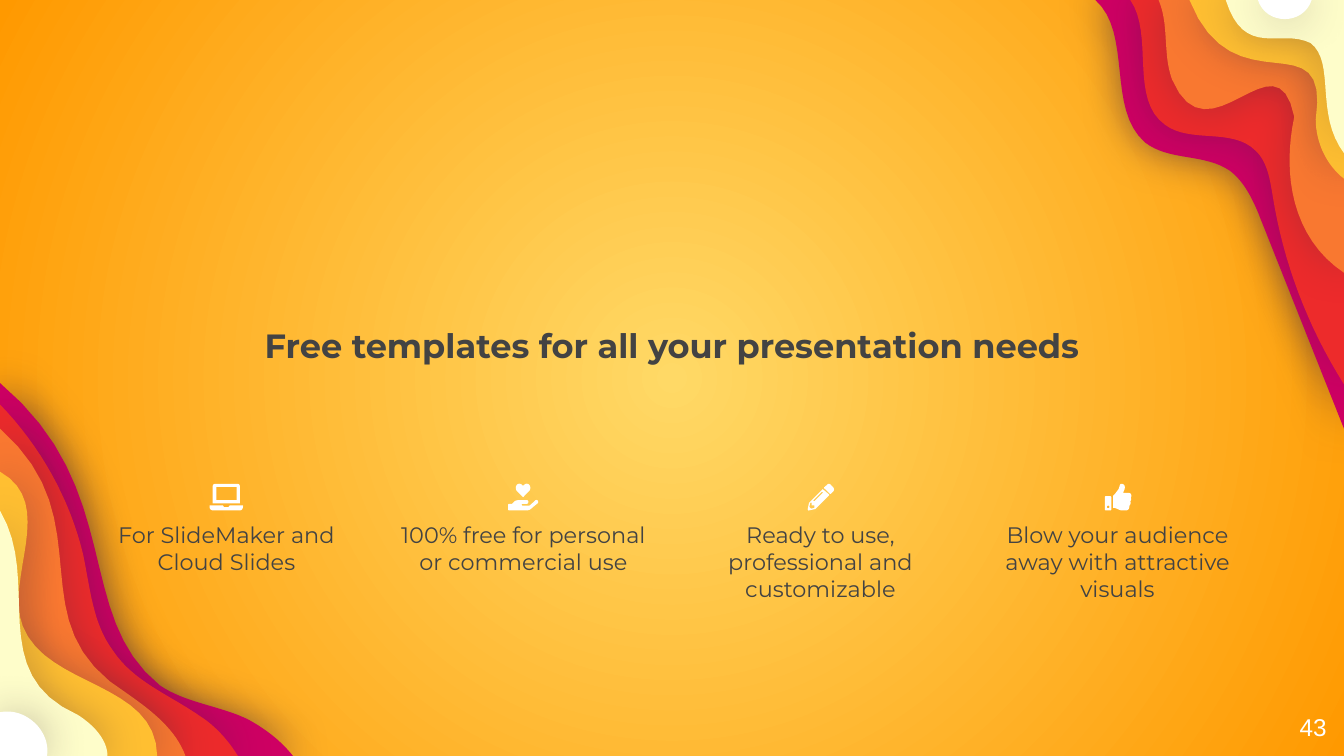
from pptx import Presentation
from pptx.dml.color import RGBColor
from pptx.enum.text import MSO_ANCHOR, PP_ALIGN
from pptx.oxml import parse_xml
from pptx.oxml.ns import nsdecls, qn
from pptx.util import Inches, Pt

CENTER, RIGHT = PP_ALIGN.CENTER, PP_ALIGN.RIGHT
TOP, MIDDLE = MSO_ANCHOR.TOP, MSO_ANCHOR.MIDDLE
YELLOW = RGBColor(0xFF, 0xD9, 0x66)
ORANGE = RGBColor(0xFF, 0x99, 0x00)
PINK = RGBColor(0xCE, 0x00, 0x63)
RED = RGBColor(0xED, 0x2B, 0x2B)
CORAL = RGBColor(0xF9, 0x78, 0x30)
GOLD = RGBColor(0xFF, 0xBF, 0x31)
CREAM = RGBColor(0xFE, 0xFD, 0xCA)
WHITE = RGBColor(0xFF, 0xFF, 0xFF)
GRAY = RGBColor(0x43, 0x43, 0x43)
SHADE = RGBColor(0x39, 0x27, 0x3F)

COLS, ROWS = 1000, 562.5
STEPS = 16

WAVES = [
    (PINK, 60,
     [(852, 106), (870, 120, 896, 114, 915, 127), (926, 135, 933, 150, 938, 163),
      (COLS, 319), (COLS, 0), (815, 0), (843, 25, 823, 81, 852, 106)],
     [(184, 535), (163, 525, 138, 523, 119, 510), (54, 458, 94, 364, 0, 285),
      (0, ROWS), (218, ROWS), (209, 551, 197, 542, 184, 535)]),
    (RED, 30,
     [(867, 93), (886, 107, 917, 95, 934, 112), (943, 120, 945, 134, 947, 146),
      (955, 196, 973, 243, COLS, 286), (COLS, 0), (841, 0), (859, 26, 840, 74, 867, 93)],
     [(149, 533), (126, 517, 99, 507, 84, 484), (69, 464, 67, 437, 62, 413),
      (52, 371, 30, 332, 0, 301), (0, ROWS), (177, ROWS), (170, 551, 160, 540, 149, 533)]),
    (CORAL, 30,
     [(872, 59), (899, 123, 950, 22, 963, 87), (954, 129, 961, 177, COLS, 203),
      (COLS, 0), (862, 0), (870, 18, 865, 40, 872, 59)],
     [(96, 517), (9, 464, 80, 389, 0, 319), (0, ROWS), (138, ROWS),
      (131, 543, 113, 529, 96, 517)]),
    (GOLD, 30,
     [(979, 89), (979, 106, 987, 123, COLS, 133), (COLS, 0), (885, 0),
      (918, 83, 990, 12, 979, 89)],
     [(17, 466), (3, 430, 43, 375, 0, 351), (0, ROWS), (117, ROWS),
      (116, 507, 35, 512, 17, 466)]),
    (CREAM, 30,
     [(975, 32), (994, 46, 978, 85, COLS, 114), (COLS, 0), (912, 0),
      (926, 44, 953, 21, 975, 32)],
     [(58, 532), (-12, 501, 32, 433, 0, 380), (0, ROWS), (80, ROWS),
      (80, 550, 69, 539, 58, 532)]),
    (WHITE, 30,
     [(976, 0), (936, 0), (942, 19, 970, 19, 976, 0)],
     [(0, 530), (0, ROWS), (35, ROWS), (38, 544, 19, 526, 0, 530)]),
]

LAPTOP = [
    [(20, 2.4), (20, 12.2), (5, 12.2), (5, 2.4)],
    [(4, 0), (2.5, 0.5, 2.3, 1, 2.3, 2), (2.3, 14.6), (22.5, 14.6), (22.5, 2),
     (22.5, 1, 22, 0, 20.7, 0)],
    [(0, 16), (0, 17.3), (0, 19, 1.5, 19.8, 2.5, 19.8), (22.3, 19.8),
     (24, 19.8, 25, 18.5, 24.8, 16), (15, 16), (14, 17.3), (10.7, 17.3), (9.8, 16)],
]
HAND = [
    [(11.2, 10), (6.5, 5.3), (4.5, 2.5, 7, -1.5, 10, 0.5), (11.2, 1.6), (12.4, 0.5),
     (15.4, -1.5, 17.9, 2.5, 15.9, 5.3)],
    [(8, 12.2), (5, 12.2, 4.5, 13.5, 3, 15), (0.5, 15), (0, 15.5), (0, 19.3), (0.5, 19.8),
     (14.5, 19.8), (16.3, 19.3), (22, 14.6), (23.2, 13.5, 22, 11.5, 20.5, 12.2),
     (17, 15.5), (16, 16.2), (10.5, 16.2), (10, 15.6), (10.5, 15), (14, 15),
     (15.5, 14.5, 15.5, 12.5, 14.2, 12.2)],
]
PENCIL = [
    [(15, 0.3), (12.2, 2.7), (12.2, 3.2), (16.7, 7.5), (17.2, 7.5), (19.2, 5.5),
     (20, 4.5, 19.5, 3.2, 19, 2.7), (17, 0.5), (16.5, 0, 15.5, 0, 15, 0.3)],
    [(11, 6), (11.4, 6.6), (5, 13), (4.2, 12.8), (4.4, 12.2), (10.5, 6)],
    [(3, 14), (3, 16), (5, 16), (5, 18), (2.5, 18.5), (1.3, 17.2), (2, 14)],
    [(11.2, 4), (1, 14.2), (0, 19), (0.5, 19.9), (5.7, 18.8), (16, 8.5), (16, 8)],
]
THUMB = [
    [(2.6, 16.2), (3.8, 16.2, 3.8, 18.2, 2.6, 18.2), (1.3, 18.2, 1.3, 16.2, 2.6, 16.2)],
    [(0.6, 9.2), (0, 9.6), (0, 19.2), (0.6, 19.8), (4.4, 19.8), (4.9, 19.2),
     (4.9, 9.8), (4.4, 9.2)],
    [(12.2, 0), (10.8, 0.5, 11, 3, 10, 4.4), (7.4, 7.8), (6.2, 9), (6.2, 17.8),
     (9, 18, 10.5, 19.8, 13, 19.8), (15.5, 19.8), (17.5, 19.8, 18.5, 18.5, 18.2, 16.4),
     (19.3, 15.4, 19.4, 14, 19, 13), (19.8, 12, 19.8, 11, 19.3, 10.5),
     (20.4, 9, 19.6, 6.8, 18, 6.8), (13.6, 6.8), (14.2, 5, 15, 4, 14.9, 2.5),
     (14.9, 1, 14, 0, 12.2, 0)],
]
CARDS = [
    ("For SlideMaker and Cloud Slides", LAPTOP, 156),
    ("100% free for personal or commercial use", HAND, 378),
    ("Ready to use, professional and customizable", PENCIL, 601),
    ("Blow your audience away with attractive visuals", THUMB, 822),
]


def trace(steps):
    dots = [steps[0]]
    for step in steps[1:]:
        if len(step) == 2:
            dots.append(step)
            continue
        a, b, c, d = dots[-1], step[:2], step[2:4], step[4:]
        for n in range(1, STEPS + 1):
            t = n / STEPS
            u = 1 - t
            dots.append(tuple(u**3 * a[i] + 3 * u * u * t * b[i]
                              + 3 * u * t * t * c[i] + t**3 * d[i] for i in (0, 1)))
    return dots


def write(frame, text, size=12, font="Montserrat", color=GRAY, bold=False,
          align=CENTER, anchor=TOP):
    frame.word_wrap = True
    frame.vertical_anchor = anchor
    frame.margin_left = frame.margin_right = frame.margin_top = frame.margin_bottom = 0
    part = frame.paragraphs[0]
    part.alignment = align
    run = part.add_run()
    run.text = text
    run.font.size, run.font.name, run.font.bold = Pt(size), font, bold
    run.font.color.rgb = color


class Deck:
    def __init__(self):
        self.prs = Presentation()
        self.prs.slide_width, self.prs.slide_height = Inches(10), Inches(5.625)
        self.slide = self.prs.slides.add_slide(self.prs.slide_layouts[6])
        self.cell = self.prs.slide_width / COLS

    def glow(self, inner, outer):
        fill = self.slide.background.fill
        fill.gradient()
        for stop, color in zip(fill.gradient_stops, (inner, outer)):
            stop.color.rgb = color
        line = self.slide.element.find(".//" + qn("a:lin"))
        line.getparent().replace(line, parse_xml(
            f'<a:path {nsdecls("a")} path="circle">'
            '<a:fillToRect l="50000" t="50000" r="50000" b="50000"/></a:path>'))

    def form(self, rings, color, left=0, top=0):
        pen = None
        for ring in rings:
            dots = [((left + x) * self.cell, (top + y) * self.cell) for x, y in trace(ring)]
            if pen is None:
                pen = self.slide.shapes.build_freeform(*dots[0])
            else:
                pen.move_to(*dots[0])
            pen.add_line_segments(dots[1:], close=True)
        shape = pen.convert_to_shape()
        shape.fill.solid()
        shape.fill.fore_color.rgb = color
        shape.line.fill.background()
        shape.shadow.inherit = False
        return shape

    def wave(self, ring, color, alpha):
        shape = self.form([ring], color)
        shape.element.spPr.find(qn("a:effectLst")).append(parse_xml(
            f'<a:outerShdw {nsdecls("a")} blurRad="{Pt(22.5)}" dist="{Pt(0.75)}" dir="0" '
            f'algn="bl" rotWithShape="0"><a:srgbClr val="{SHADE}">'
            f'<a:alpha val="{alpha * 1000}"/></a:srgbClr></a:outerShdw>'))

    def text(self, text, *place, **style):
        box = self.slide.shapes.add_textbox(*(round(n * self.cell) for n in place))
        write(box.text_frame, text, **style)


def main():
    deck = Deck()
    deck.glow(YELLOW, ORANGE)
    for color, alpha, *rings in WAVES:
        for ring in rings:
            deck.wave(ring, color, alpha)
    deck.text("Free templates for all your presentation needs",
              121, 242, 758, 29, size=18, bold=True)
    for n, (text, icon, left) in enumerate(CARDS):
        deck.text(text, 76 + 221 * n, 388, 185, 70)
        deck.form(icon, WHITE, left, 360)
    deck.text("43", 927, 519, 60, 43, size=13, font="Arial", color=WHITE,
              align=RIGHT, anchor=MIDDLE)
    deck.prs.save("out.pptx")


if __name__ == "__main__":
    main()
